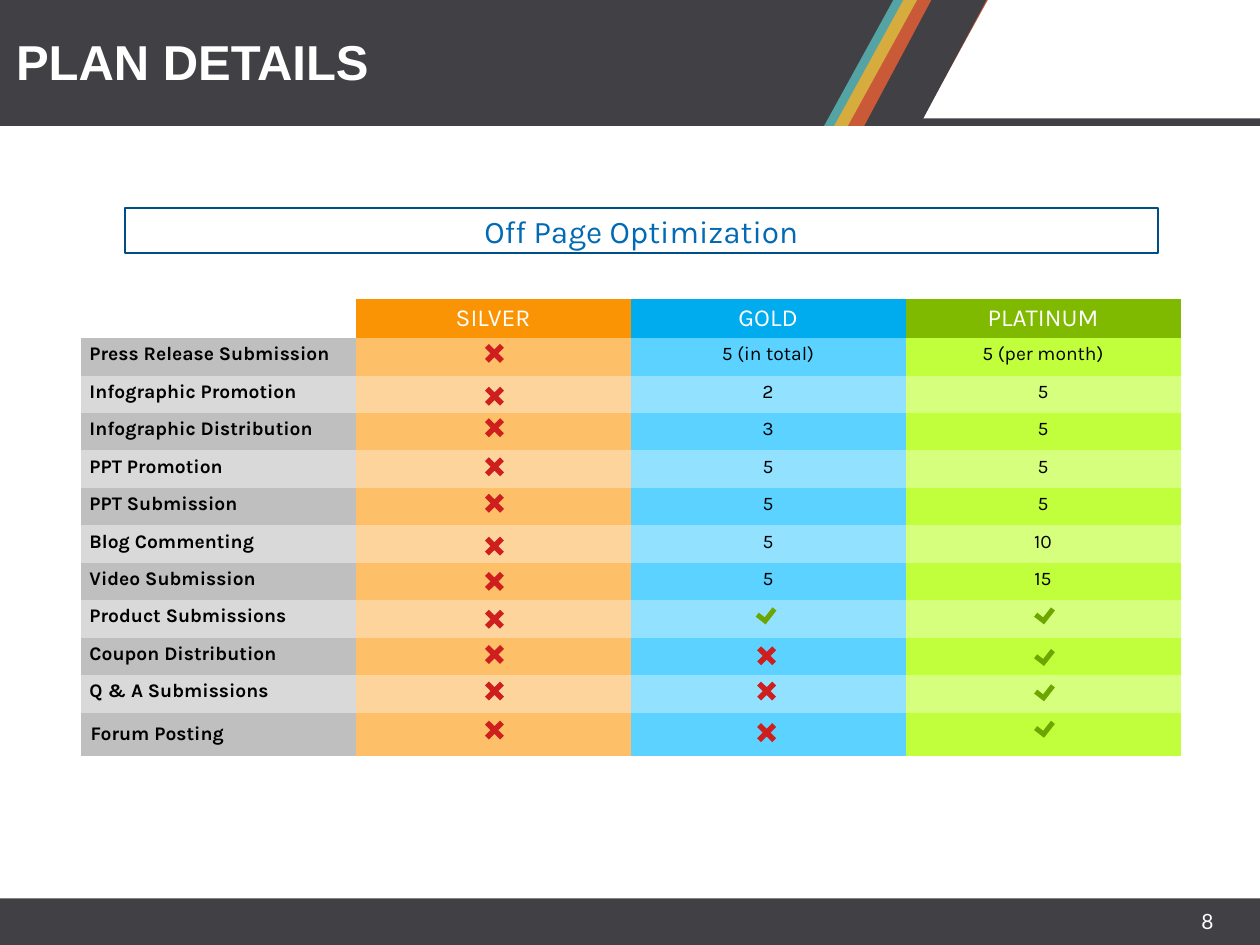
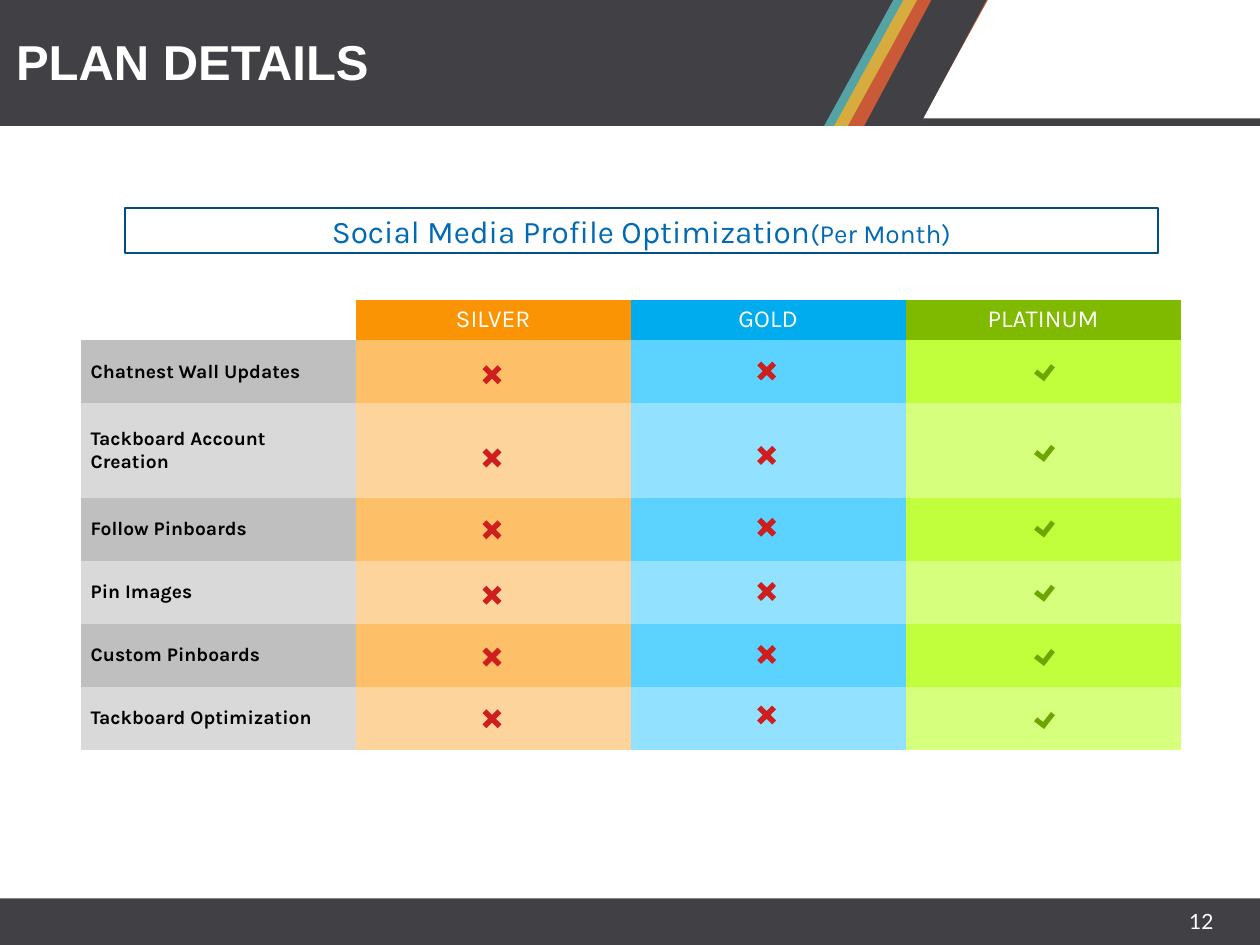
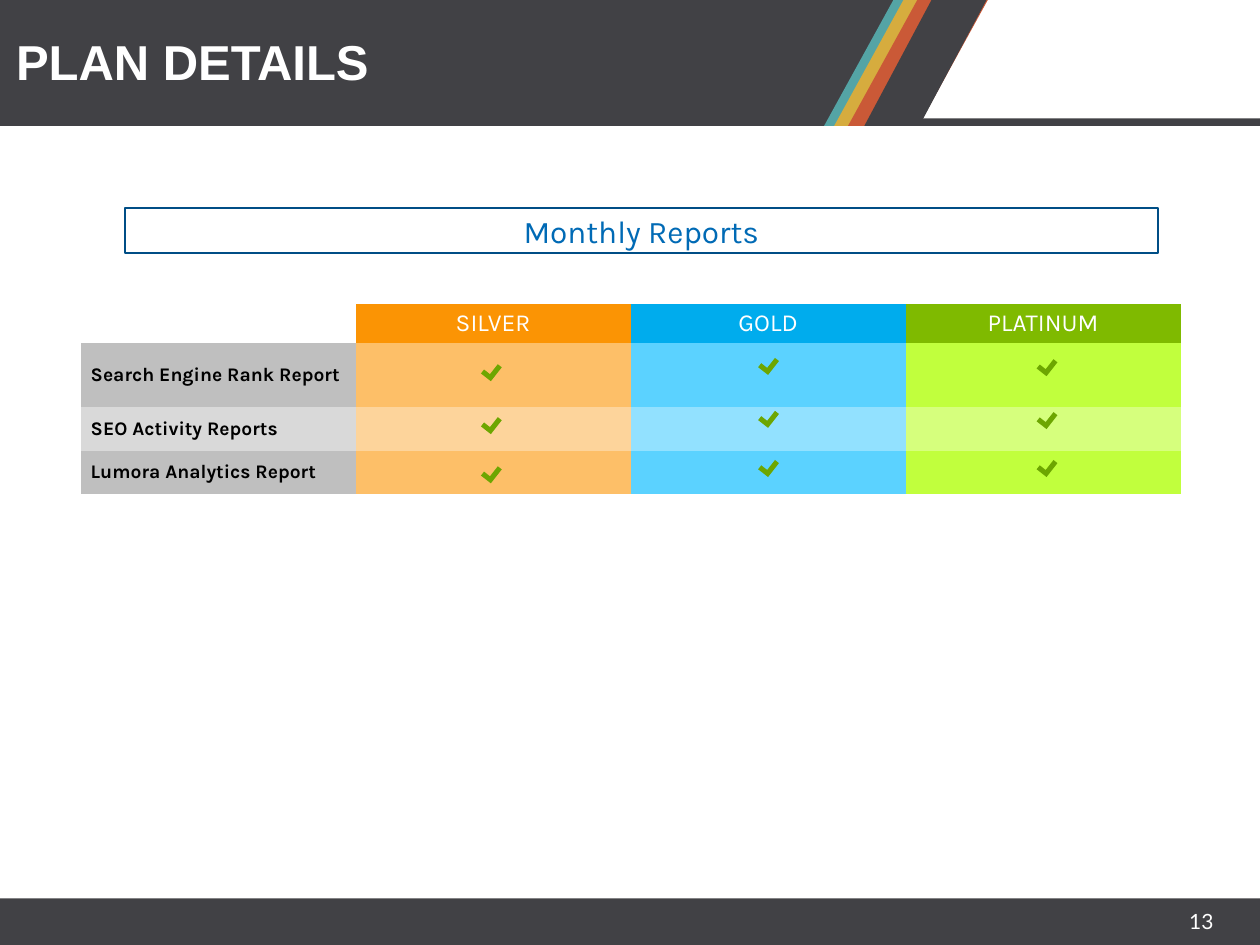
from dataclasses import dataclass
from lxml.etree import SubElement
from pptx import Presentation
from pptx.dml.color import RGBColor
from pptx.enum.shapes import MSO_SHAPE as Shape
from pptx.enum.text import MSO_ANCHOR as Anchor, PP_ALIGN as Align
from pptx.oxml.ns import qn
from pptx.util import Inches, Pt


@dataclass(frozen=True)
class Theme:
    """Colours, fonts and type sizes shared by all slides."""
    white: str = "FFFFFF"
    black: str = "000000"
    dark: str = "414145"
    stripes: tuple = ((6.54, 1.11, "54A4A5"), (6.62, 1.11, "D6AC3E"),
                      (6.73, 1.11, "CA5937"), (6.86, 0.97, "414145"))
    heading: str = "006AB5"
    heading_line: str = "004E86"
    cross: str = "CE1E1E"
    check: str = "6DA601"
    plans: tuple = (("", "FFFFFF"), ("SILVER", "FB9404"),
                    ("GOLD", "00ACED"), ("PLATINUM", "7FBA00"))
    bands: tuple = (("BFBFBF", "FDBF68", "5BD2FF", "C1FF3D"),
                    ("D9D9D9", "FDD49B", "92E1FF", "D6FF7D"))
    title_font: str = "Arial"
    body_font: str = "Karla"
    number_font: str = "Lato"
    title_size: int = 28
    heading_size: int = 18
    note_size: int = 15
    plan_size: int = 14
    cell_size: int = 11
    number_size: int = 12
    no_grid_style: str = "{2D5ABB26-0587-4C30-8999-92F81FD0307C}"


THEME = Theme()


def style_run(span, size, font, color, bold=False):
    """Set the type of one run."""
    span.font.size = Pt(size)
    span.font.name = font
    span.font.bold = bold
    span.font.color.rgb = RGBColor.from_string(color)


def add_block(page, kind, left, top, width, height, fill, line=None, adjust=()):
    """Add a flat filled shape."""
    block = page.shapes.add_shape(kind, Inches(left), Inches(top), Inches(width), Inches(height))
    block.shadow.inherit = False
    block.fill.solid()
    block.fill.fore_color.rgb = RGBColor.from_string(fill)
    if line:
        block.line.color.rgb = RGBColor.from_string(line)
        block.line.width = Pt(1)
    else:
        block.line.fill.background()
    for index, value in enumerate(adjust):
        block.adjustments[index] = value
    return block


def add_label(page, left, top, width, height, text, size, font, bold=False, align=Align.LEFT):
    """Add a white line of text."""
    box = page.shapes.add_textbox(Inches(left), Inches(top), Inches(width), Inches(height))
    box.text_frame.word_wrap = True
    box.text_frame.text = text
    para = box.text_frame.paragraphs[0]
    para.alignment = align
    style_run(para.runs[0], size, font, THEME.white, bold)


def add_frame(page, number):
    """Draw the header band, stripes, footer, title and page number."""
    add_block(page, Shape.RECTANGLE, 0, 0.94, 10, 0.06, THEME.dark)
    add_block(page, Shape.RECTANGLE, 0, 0, 7.31, 1, THEME.dark)
    for left, width, color in THEME.stripes:
        add_block(page, Shape.PARALLELOGRAM, left, 0, width, 1, color, adjust=[0.55])
    add_block(page, Shape.RECTANGLE, 0, 7.13, 10, 0.37, THEME.dark)
    add_label(page, 7.73, 7.16, 2, 0.33, str(number), THEME.number_size,
              THEME.number_font, align=Align.RIGHT)
    add_label(page, 0.03, 0.2, 9.77, 0.71, "PLAN DETAILS", THEME.title_size,
              THEME.title_font, bold=True)


def add_heading(page, text, note=""):
    """Add the white panel and the outlined heading with an optional smaller note."""
    add_block(page, Shape.ROUNDED_RECTANGLE, 0.5, 2.26, 9, 3.82, THEME.white, adjust=[0.02])
    box = add_block(page, Shape.RECTANGLE, 0.99, 1.65, 8.2, 0.36, THEME.white, THEME.heading_line)
    box.text_frame.vertical_anchor = Anchor.MIDDLE
    para = box.text_frame.paragraphs[0]
    para.alignment = Align.CENTER
    for part, size in ((text, THEME.heading_size), (note, THEME.note_size)):
        if part:
            span = para.add_run()
            span.text = part
            style_run(span, size, THEME.body_font, THEME.heading)


def fill_cell(cell, text, fill, size, color, bold=False, align=Align.CENTER, middle=False):
    """Fill one table cell and set its text."""
    cell.fill.solid()
    cell.fill.fore_color.rgb = RGBColor.from_string(fill)
    cell.margin_left = cell.margin_right = Inches(0.08 if middle else 0.07)
    cell.margin_top = cell.margin_bottom = Inches(0.08 if middle else 0.04)
    cell.vertical_anchor = Anchor.MIDDLE if middle else Anchor.TOP
    para = cell.text_frame.paragraphs[0]
    para.alignment = align
    if text:
        para.text = text
        style_run(para.runs[0], size, THEME.body_font, color, bold)
    else:
        SubElement(para._p, qn("a:endParaRPr"), sz=str(size * 100))


def add_plan_table(page, top, heights, rows, middle_from=0):
    """Add the plan table; labels from row middle_from on are centred vertically."""
    frame = page.shapes.add_table(len(rows) + 1, len(THEME.plans), Inches(0.64), Inches(top),
                                  Inches(8.73), Inches(sum(heights)))
    table = frame.table
    table.first_row = table.horz_banding = False
    table._tbl.tblPr.find(qn("a:tableStyleId")).text = THEME.no_grid_style
    for column in table.columns:
        column.width = Inches(8.73 / len(THEME.plans))
    for row, height in zip(table.rows, heights):
        row.height = Inches(height)
    for column, (plan, color) in enumerate(THEME.plans):
        fill_cell(table.cell(0, column), plan, color, THEME.plan_size, THEME.white)
    for index, (label, *values) in enumerate(rows):
        texts = [label, *values] if values else [label, "", "", ""]
        for column, (text, color) in enumerate(zip(texts, THEME.bands[index % 2])):
            is_label = column == 0
            fill_cell(table.cell(index + 1, column), text, color, THEME.cell_size, THEME.black,
                      bold=is_label, align=Align.LEFT if is_label else Align.CENTER,
                      middle=is_label and index >= middle_from)


def add_crosses(page, left, tops):
    """Add a column of red crosses."""
    for top in tops:
        add_block(page, Shape.MATH_MULTIPLY, left, top, 0.23, 0.23, THEME.cross, adjust=[0.19])


def add_checks(page, left, tops):
    """Add a column of green check marks."""
    for top in tops:
        check = add_block(page, Shape.CORNER, left, top, 0.14, 0.1, THEME.check,
                          adjust=[0.4, 0.4])
        check.rotation = 308.1


def add_page(deck, number, heading, note=""):
    """Add a slide with the shared frame and its heading."""
    page = deck.slides.add_slide(deck.slide_layouts[6])
    add_frame(page, number)
    add_heading(page, heading, note)
    return page


def add_off_page(deck):
    """Build the off page optimization slide."""
    page = add_page(deck, 8, "Off Page Optimization")
    rows = [("Press Release Submission", "", "5 (in total)", "5 (per month)"),
            ("Infographic Promotion", "", "2", "5"),
            ("Infographic Distribution", "", "3", "5"),
            ("PPT Promotion", "", "5", "5"),
            ("PPT Submission", "", "5", "5"),
            ("Blog Commenting", "", "5", "10"),
            ("Video Submission", "", "5", "15"),
            ("Product Submissions",), ("Coupon Distribution",),
            ("Q & A Submissions",), ("Forum Posting",)]
    last = 0.34
    heights = [(3.61 - last) / len(rows)] * len(rows) + [last]
    add_plan_table(page, 2.37, heights, rows, middle_from=len(rows) - 1)
    add_crosses(page, 3.81, [2.69, 3.03, 3.28, 3.59, 3.88, 4.22, 4.5, 4.8, 5.08, 5.37, 5.68])
    add_crosses(page, 5.97, [5.09, 5.37, 5.7])
    add_checks(page, 6.01, [4.82])
    add_checks(page, 8.22, [4.82, 5.15, 5.43, 5.72])


def add_social_media(deck):
    """Build the social media slide."""
    page = add_page(deck, 12, "Social Media Profile Optimization", "(Per Month)")
    rows = [("Chatnest Wall Updates",), ("Tackboard Account Creation",), ("Follow Pinboards",),
            ("Pin Images",), ("Custom Pinboards",), ("Tackboard Optimization",)]
    add_plan_table(page, 2.38, [0.32, 0.5, 0.75, 0.5, 0.5, 0.5, 0.5], rows)
    add_checks(page, 8.22, [2.89, 3.53, 4.13, 4.64, 5.15, 5.65])
    add_crosses(page, 3.79, [2.86, 3.52, 4.09, 4.61, 5.1, 5.59])
    add_crosses(page, 5.97, [2.83, 3.5, 4.07, 4.58, 5.08, 5.56])


def add_reports(deck):
    """Build the monthly reports slide."""
    page = add_page(deck, 13, "Monthly Reports")
    rows = [("Search Engine Rank Report",), ("SEO Activity Reports",),
            ("Lumora Analytics Report",)]
    add_plan_table(page, 2.41, [0.3, 0.51, 0.34, 0.34], rows)
    add_checks(page, 8.24, [2.85, 3.27, 3.65])
    add_checks(page, 6.03, [2.84, 3.26, 3.65])
    add_checks(page, 3.83, [2.89, 3.31, 3.7])


def main():
    """Build and save the deck."""
    deck = Presentation()
    deck.slide_width = Inches(10)
    deck.slide_height = Inches(7.5)
    add_off_page(deck)
    add_social_media(deck)
    add_reports(deck)
    deck.save("out.pptx")


if __name__ == "__main__":
    main()
